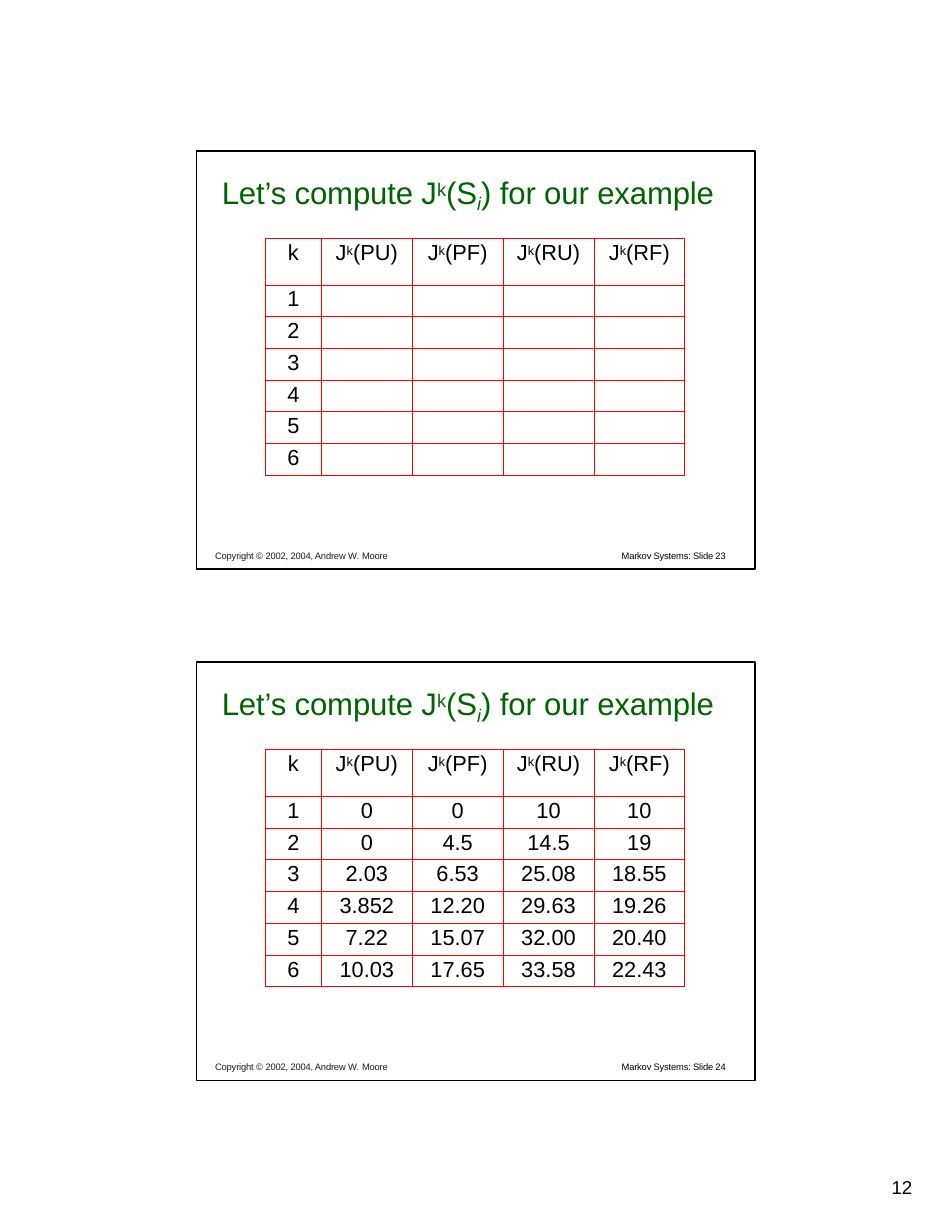
from lxml.etree import SubElement
from pptx import Presentation
from pptx.dml.color import RGBColor
from pptx.enum.shapes import MSO_SHAPE as Shape
from pptx.enum.text import MSO_AUTO_SIZE as AutoSize, PP_ALIGN as Align
from pptx.oxml.ns import qn
from pptx.util import Cm, Pt

BLACK = RGBColor(0x00, 0x00, 0x00)
CHARCOAL = RGBColor(0x1C, 0x1C, 0x1C)
GREEN = RGBColor(0x00, 0x65, 0x00)
RED = RGBColor(0xFF, 0x01, 0x01)
FONT = "Arial"

TITLE = [
    ("Let’s compute J", {"spacing": -10}),
    ("k", {"size": 20.2, "baseline": 25, "spacing": -10}),
    ("(S", {"spacing": -10}),
    ("i", {"size": 20.2, "baseline": -21, "italic": True, "spacing": -10}),
    (") for our example", {"spacing": -10}),
]
COPYRIGHT = [
    ("Copyright ", {"spacing": -10}),
    ("© ", {}),
    ("2002, 2004, Andrew ", {"spacing": -10}),
    ("W. ", {"spacing": 10}),
    ("Moore", {"spacing": -10}),
]
FOOTER = "Markov Systems: Slide "
STATES = ["PU", "PF", "RU", "RF"]
STEPS = ["1", "2", "3", "4", "5", "6"]
VALUES = [
    ["0", "0", "10", "10"],
    ["0", "4.5", "14.5", "19"],
    ["2.03", "6.53", "25.08", "18.55"],
    ["3.852", "12.20", "29.63", "19.26"],
    ["7.22", "15.07", "32.00", "20.40"],
    ["10.03", "17.65", "33.58", "22.43"],
]
PANELS = [("23", [[""] * len(STATES)] * len(STEPS)), ("24", VALUES)]
PAGE_NUMBER = "12"

PANEL_LEFT, PANEL_TOP, PANEL_PITCH = 4.46, 3.42, 11.6
PANEL_WIDTH, PANEL_HEIGHT = 12.67, 9.49
COLUMN_WIDTHS = [1.27] + [2.06] * len(STATES)
ROW_HEIGHTS = [1.06] + [0.72] * len(STEPS)


def add_runs(paragraph, runs, size, color):
    for text, style in runs:
        run = paragraph.add_run()
        run.text = text
        run.font.name = FONT
        run.font.size = Pt(style.get("size", size))
        run.font.color.rgb = color
        if "italic" in style:
            run.font.italic = style["italic"]
        properties = run._r.get_or_add_rPr()
        if "baseline" in style:
            properties.set("baseline", str(style["baseline"] * 1000))
        if "spacing" in style:
            properties.set("spc", str(style["spacing"]))


def add_text(slide, box, runs, size, color, indent, top=0.02, before=1):
    frame = slide.shapes.add_textbox(*map(Cm, box)).text_frame
    frame.word_wrap = True
    frame.auto_size = AutoSize.SHAPE_TO_FIT_TEXT
    frame.margin_left, frame.margin_top = Cm(indent), Cm(top)
    frame.margin_right = frame.margin_bottom = 0
    paragraph = frame.paragraphs[0]
    paragraph.space_before = Pt(before)
    add_runs(paragraph, runs, size, color)
    return paragraph


def add_borders(cell):
    properties = cell._tc.get_or_add_tcPr()
    for side in ("lnL", "lnR", "lnT", "lnB"):
        line = SubElement(properties, qn(f"a:{side}"), w=str(Pt(0.5)))
        fill = SubElement(line, qn("a:solidFill"))
        SubElement(fill, qn("a:srgbClr"), val=str(RED))


def fill_cell(cell, runs):
    add_borders(cell)
    cell.fill.background()
    cell.margin_left = cell.margin_right = cell.margin_bottom = 0
    cell.margin_top = Cm(0.05)
    paragraph = cell.text_frame.paragraphs[0]
    paragraph.alignment = Align.CENTER
    paragraph.space_before = Pt(1.4)
    if runs:
        add_runs(paragraph, runs, 14, BLACK)
    else:
        SubElement(paragraph._p, qn("a:endParaRPr"), sz="1400")


def add_value_table(slide, top, values):
    header = [[("k", {})]] + [
        [("J", {}), ("k", {"size": 14.2, "baseline": 23}), (f"({state})", {})]
        for state in STATES
    ]
    body = [
        [[(text, {})] if text else [] for text in [step, *row]]
        for step, row in zip(STEPS, values)
    ]
    table = slide.shapes.add_table(
        len(ROW_HEIGHTS), len(COLUMN_WIDTHS), Cm(6.02), Cm(top),
        Cm(sum(COLUMN_WIDTHS)), Cm(sum(ROW_HEIGHTS)),
    ).table
    table.first_row = table.horz_banding = False
    for column, width in zip(table.columns, COLUMN_WIDTHS):
        column.width = Cm(width)
    for row, height, contents in zip(table.rows, ROW_HEIGHTS, [header, *body]):
        row.height = Cm(height)
        for cell, runs in zip(row.cells, contents):
            fill_cell(cell, runs)


def add_panel(slide, top, number, values):
    footer_top = top + 9.03
    add_text(slide, (4.85, footer_top, 4.11, 0.33), COPYRIGHT, 6, CHARCOAL, 0.03)
    footer = [(FOOTER, {"spacing": -10}), (number, {})]
    add_text(slide, (14.07, footer_top, 2.51, 0.33), footer, 6, BLACK, 0.03)
    add_text(slide, (4.93, top + 0.48, 11.53, 0.91), TITLE, 20, GREEN, 0.1, before=0.9)
    add_value_table(slide, top + 1.98, values)
    border = slide.shapes.add_shape(
        Shape.RECTANGLE, Cm(PANEL_LEFT), Cm(top), Cm(PANEL_WIDTH), Cm(PANEL_HEIGHT)
    )
    border.shadow.inherit = False
    border.fill.background()
    border.line.color.rgb = BLACK
    border.line.width = Pt(1)


def main():
    presentation = Presentation()
    presentation.slide_width, presentation.slide_height = Cm(21.59), Cm(27.94)
    slide = presentation.slides.add_slide(presentation.slide_layouts[6])
    for index, (number, values) in enumerate(PANELS):
        add_panel(slide, PANEL_TOP + index * PANEL_PITCH, number, values)
    page = add_text(
        slide, (20.14, 26.67, 0.61, 0.53), [(PAGE_NUMBER, {})], 12, BLACK, 0.08, 0, 0
    )
    page.line_spacing = Pt(14.2)
    presentation.save("out.pptx")


if __name__ == "__main__":
    main()
